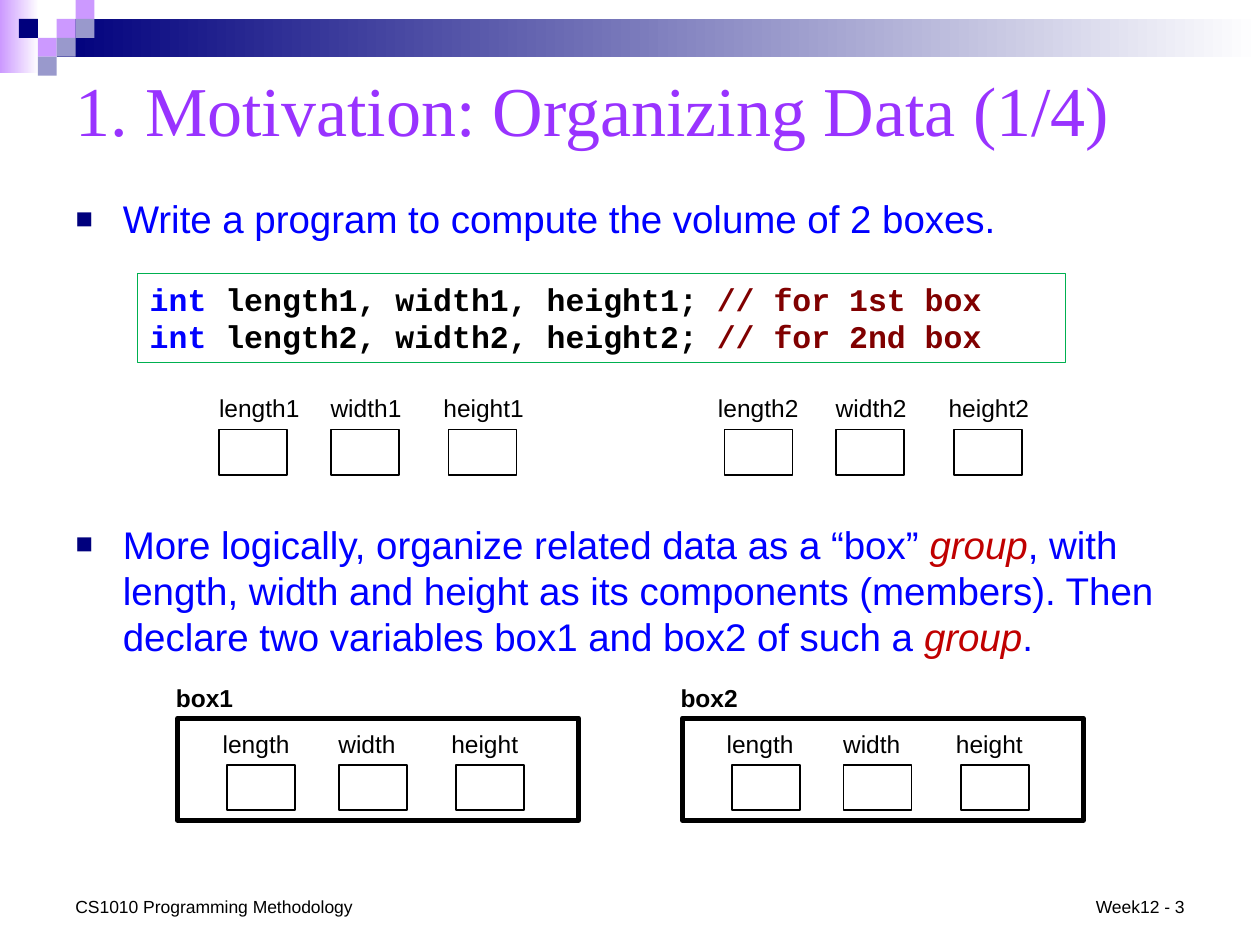
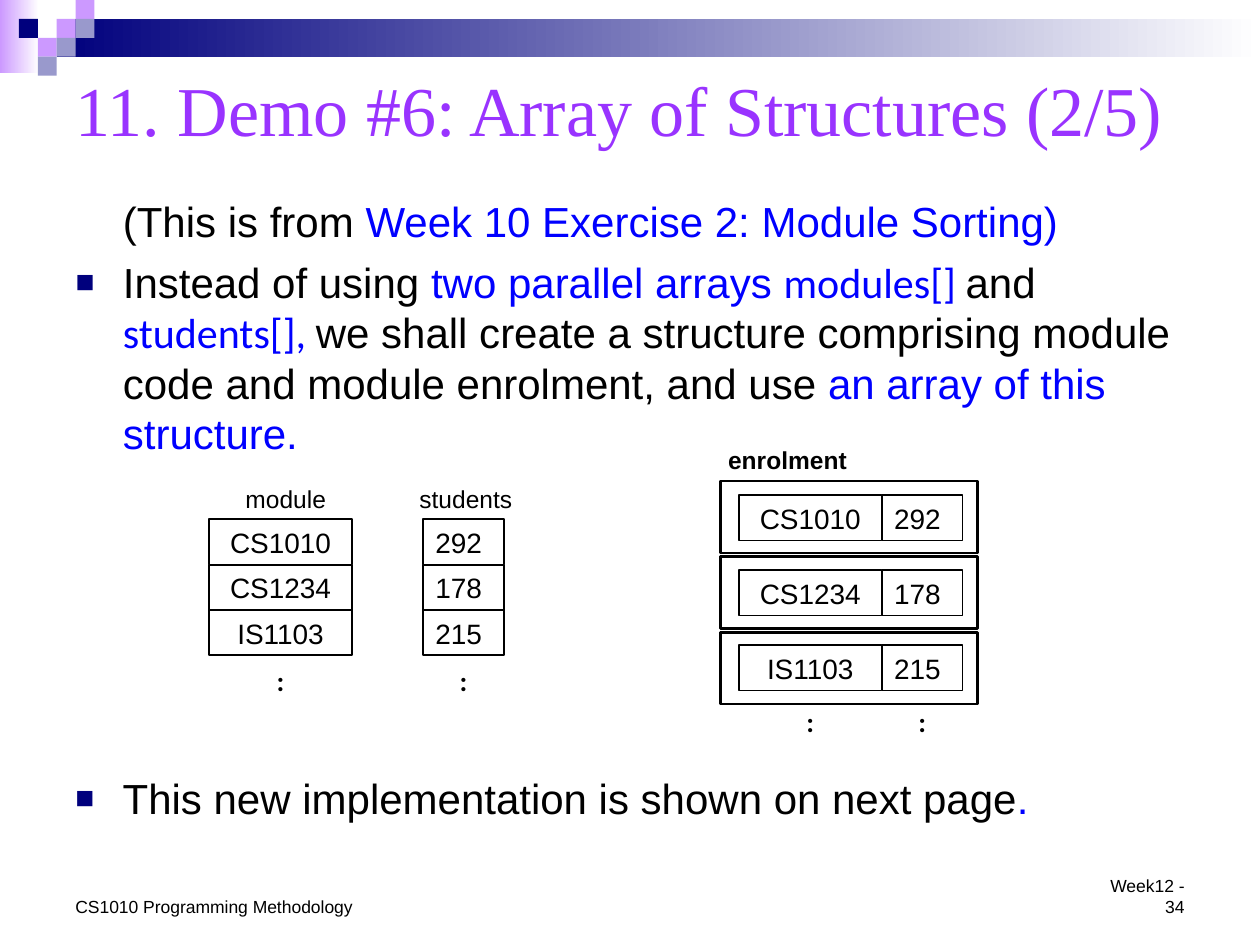
from dataclasses import dataclass

from lxml import etree
from pptx import Presentation
from pptx.dml.color import RGBColor
from pptx.enum import shapes, text
from pptx.oxml import ns
from pptx.util import Pt


@dataclass(frozen=True)
class Theme:
    # Colours
    black: str = "000000"
    white: str = "FFFFFF"
    title: str = "9933FF"
    blue: str = "0000FF"
    red: str = "C00000"
    comment: str = "800000"
    green: str = "00B050"
    navy: str = "00007D"
    lilac: str = "CC99FF"
    slate: str = "9999CC"
    # Fonts
    serif: str = "Times New Roman"
    sans: str = "Arial"
    code: str = "Courier New"
    plain: str = "Calibri"
    # Type sizes
    title_size: int = 40
    list_size: int = 24
    short_list_size: int = 22
    code_size: int = 18
    cell_size: int = 16
    label_size: int = 14
    footer_size: int = 10


theme = Theme()
LEFT, RIGHT = text.PP_ALIGN.LEFT, text.PP_ALIGN.RIGHT
CENTER = text.PP_ALIGN.CENTER
TOP, MIDDLE = text.MSO_ANCHOR.TOP, text.MSO_ANCHOR.MIDDLE
BOTTOM = text.MSO_ANCHOR.BOTTOM


def write(frame, paragraphs, size, font=theme.sans, align=LEFT, anchor=TOP,
          gaps=None, bullets=None):
    """Fill a text frame; each paragraph is a list of (text, colour, font options)."""
    frame.word_wrap = True
    frame.auto_size = text.MSO_AUTO_SIZE.NONE
    frame.vertical_anchor = anchor
    for index, runs in enumerate(paragraphs):
        paragraph = frame.paragraphs[0] if index == 0 else frame.add_paragraph()
        paragraph.alignment = align
        paragraph.space_before = Pt(gaps[index] if gaps else 0)
        paragraph.font.size = Pt(size)
        paragraph.font.name = font
        for words, colour, *options in runs:
            run = paragraph.add_run()
            run.text = words
            run.font.color.rgb = RGBColor.from_string(colour)
            for option, value in (options[0] if options else {}).items():
                setattr(run.font, option, value)
        if bullets is None:
            continue

        # Hanging indent, with a square bullet where wanted
        properties = paragraph._p.get_or_add_pPr()
        properties.set("marL", str(Pt(27)))
        properties.set("indent", str(Pt(-27) if bullets[index] else 0))
        if bullets[index]:
            marks = [("buClr", {}), ("buSzPct", {"val": "75000"}),
                     ("buFont", {"typeface": theme.sans}), ("buChar", {"char": "■"})]
        else:
            marks = [("buNone", {})]
        position = len(properties) - 1  # before the default run properties
        for offset, (tag, attributes) in enumerate(marks):
            mark = etree.Element(ns.qn(f"a:{tag}"), attributes)
            if tag == "buClr":
                etree.SubElement(mark, ns.qn("a:srgbClr"), val=theme.navy)
            properties.insert(position + offset, mark)


def add_box(slide, place, words="", size=theme.label_size, fill=None, line=None,
            weight=1, colour=theme.black, bold=False, **options):
    """Add a rectangle, or a plain text box when it has no fill and no line."""
    place = [Pt(length) for length in place]
    if fill or line:
        box = slide.shapes.add_shape(shapes.MSO_SHAPE.RECTANGLE, *place)
        box.shadow.inherit = False
        if fill:
            box.fill.solid()
            box.fill.fore_color.rgb = RGBColor.from_string(fill)
        else:
            box.fill.background()
        if line:
            box.line.color.rgb = RGBColor.from_string(line)
            box.line.width = Pt(weight)
        else:
            box.line.fill.background()
    else:
        box = slide.shapes.add_textbox(*place)
    if words:
        write(box.text_frame, [[(words, colour, {"bold": bold})]], size, **options)
    return box


presentation = Presentation()
presentation.slide_width, presentation.slide_height = Pt(720), Pt(540)

# Shared frame: bands, checker squares, title and footers
SQUARE = 10.8
BANDS = [((0, 0, 22.3, 41.8), theme.lilac),
         ((3 * SQUARE, SQUARE, 720 - 3 * SQUARE, 2 * SQUARE), theme.navy)]
CHECKERS = [(3, 1, theme.lilac), (4, 0, theme.lilac), (4, 1, theme.slate),
            (2, 2, theme.lilac), (1, 1, theme.navy), (3, 2, theme.slate),
            (2, 3, theme.slate)]
PAGES = [("1. Motivation: Organizing Data (1/4)", "Week12 - 3", 273.6),
         ("11. Demo #6: Array of Structures (2/5)", "Week12 - 34", 158.4)]

slides = []
for heading, page, body_height in PAGES:
    slide = presentation.slides.add_slide(presentation.slide_layouts[1])
    slides.append(slide)
    for place, colour in BANDS:
        band = add_box(slide, place, fill=colour)
        band.fill.gradient()
        band.fill.gradient_angle = 0
        for stop, shade, position in zip(band.fill.gradient_stops,
                                         (colour, theme.white), (0, 1)):
            stop.color.rgb = RGBColor.from_string(shade)
            stop.position = position
    for column, row, colour in CHECKERS:
        add_box(slide, (column * SQUARE, row * SQUARE, SQUARE, SQUARE), fill=colour)

    title, body = slide.shapes.title, slide.placeholders[1]
    for placeholder, top, height in ((title, 30.2, 63.4), (body, 108, body_height)):
        placeholder.left, placeholder.top = Pt(36), Pt(top)
        placeholder.width, placeholder.height = Pt(648), Pt(height)
    write(title.text_frame, [[(heading, theme.title)]], theme.title_size,
          theme.serif, anchor=MIDDLE)
    add_box(slide, (36, 508.3, 180, 19.4), "CS1010 Programming Methodology",
            theme.footer_size, anchor=BOTTOM)
    add_box(slide, (617.8, 508.3, 66.2, 19.4), page, theme.footer_size,
            align=RIGHT, anchor=BOTTOM)

motivation, demo = slides

# Slide 1: list, with room for the code and the first diagram
group = ("group", theme.red, {"italic": True})
write(motivation.placeholders[1].text_frame, [
    [("Write a program to compute the volume of 2 boxes.", theme.blue)],
    [("More logically, organize related data as a “box” ", theme.blue), group,
     (", with length, width and height as its components (members). "
      "Then declare two variables box1 and box2 of such a ", theme.blue), group,
     (".", theme.blue)],
], theme.short_list_size, gaps=(0, 159.5), bullets=(True, True))

# Slide 1: code
strong = {"bold": True}
code_box = add_box(motivation, (78.5, 156.2, 530.6, 51.1), fill=theme.white,
                   line=theme.green, weight=0.75)
write(code_box.text_frame, [
    [("int", theme.blue, strong),
     (f" length{number}, width{number}, height{number}; ", theme.black, strong),
     (f"// for {ordinal} box", theme.comment, strong)]
    for number, ordinal in ((1, "1st"), (2, "2nd"))
], theme.code_size, theme.code)

# Slide 1: loose variables above, the same members grouped in boxes below
# (left of cells, top of cells, first label offset, name suffix, box name)
MEMBERS = [(125.3, 245.5, -7.2, "1", None), (414, 245.5, -10.8, "2", None),
           (129.8, 437.2, -9.6, "", "box1"), (418.2, 437.2, -10, "", "box2")]
for left, top, first_label, suffix, box_name in MEMBERS:
    for member, cell_offset, label_offset in (("length", 0, first_label),
                                              ("width", 63.8, 56.5),
                                              ("height", 131, 121)):
        add_box(motivation, (left + cell_offset, top, 38.9, 25.9),
                fill=theme.white, line=theme.black)
        add_box(motivation, (left + label_offset, top - 24.2, 64, 24.2),
                member + suffix)
    if box_name:
        add_box(motivation, (left - 36.4, top - 50.6, 54, 24.2), box_name, bold=True)
        add_box(motivation, (left - 28.2, top - 26.8, 229, 58.3),
                line=theme.black, weight=3)

# Slide 2: lists
calibri = {"name": theme.plain}
write(demo.placeholders[1].text_frame, [
    [("(This is from ", theme.black),
     ("Week 10 Exercise 2: Module Sorting)", theme.blue)],
    [("Instead of using", theme.black), (" two parallel arrays ", theme.blue),
     ("modules[] ", theme.blue, calibri), ("and ", theme.black),
     ("students[], ", theme.blue, calibri),
     ("we shall create a structure comprising module code and module enrolment, "
      "and use ", theme.black),
     ("an array of this structure.", theme.blue)],
], theme.list_size, gaps=(6, 6), bullets=(False, True))
closing = add_box(demo, (36, 437.8, 648, 36))
write(closing.text_frame, [
    [("This new implementation is shown on next page", theme.black),
     (".", theme.blue)],
], theme.list_size, gaps=(6,), bullets=(True,))

# Slide 2: two parallel arrays, then one array of structures
RECORDS = [("CS1010", "292"), ("CS1234", "178"), ("IS1103", "215")]
CODE_WIDTH, COUNT_WIDTH, CELL_HEIGHT = 81.6, 46.3, 25.9
# (code left, count left, first row top, row step, top of dots)
ARRAYS = [(119.5, 241.7, 296.8, CELL_HEIGHT, 375.4),
          (422.2, 503.8, 283, 42.9, 399.2)]
for code_left, count_left, top, step, dots_top in ARRAYS:
    columns = ((code_left, CODE_WIDTH, CENTER), (count_left, COUNT_WIDTH, LEFT))
    for row, record in enumerate(RECORDS):
        for value, (left, width, align) in zip(record, columns):
            add_box(demo, (left, top + row * step, width, CELL_HEIGHT), value,
                    theme.cell_size, fill=theme.white, line=theme.black, align=align)
    for left, width, _ in columns:
        add_box(demo, (left, dots_top, width, 26.6), ":", theme.cell_size,
                bold=True, font=theme.plain, align=CENTER)
for row in range(len(RECORDS)):
    add_box(demo, (411.8, 275 + row * 43.2, 146.9, 41), line=theme.black, weight=1.5)

# Slide 2: array names
for name, left, top, bold in (("module", 133.2, 272.9, False),
                              ("students", 232.6, 272.9, False),
                              ("enrolment", 409, 250.6, True)):
    add_box(demo, (left, top, 86.4, 24.5), name, bold=bold)

presentation.save("out.pptx")
